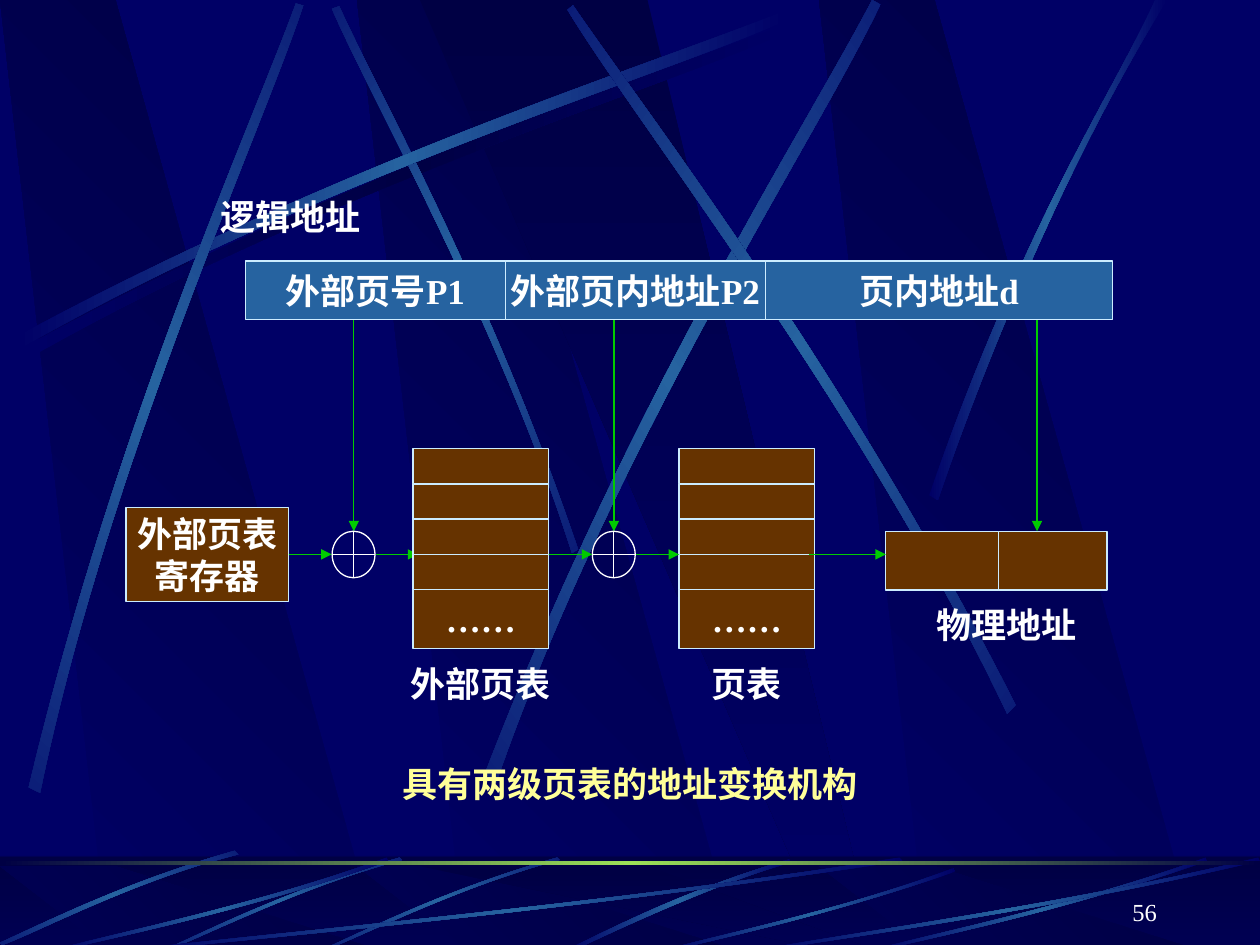
import math
import lxml.etree
import pptx
import pptx.util
import pptx.dml.color
import pptx.enum.shapes
import pptx.enum.text
import pptx.oxml.ns

Pt = pptx.util.Pt
MSO = pptx.enum.shapes.MSO_SHAPE
ALIGN = pptx.enum.text.PP_ALIGN
ANCHOR = pptx.enum.text.MSO_ANCHOR
qn = pptx.oxml.ns.qn

FONT = "Times New Roman"
COLORS = {
    "night": "000066", "shade": "000044", "streak": "2663A0", "glow": "9CE157",
    "field": "2663A0", "memory": "663300", "edge": "CCECFF", "arrow": "00CC00",
    "text": "FFFFFF", "caption": "FFFF99",
}

BEAM = [(10.1, 192.2), (200.2, 90), (373, 36.7), (446.4, 7.2),
        (448.6, 11.5), (375.8, 43.9), (178.6, 103), (12.2, 199.4)]
BEAMS = [
    ([(331.2, 313.9), (281.5, 168.5), (217.4, 55.4), (193.7, 3.6),
      (190.1, 5), (212.4, 56.9), (286.6, 185.8), (326.9, 316.1)], 45),
    (BEAM, 0),
    ([(16.6, 450), (67, 240.5), (141.8, 75.6), (169.2, 1.4),
      (173.5, 2.9), (149, 77.8), (61.9, 265), (23, 452.9)], 311.7),
    ([(277.2, 442.1), (358.6, 230.4), (459.4, 73.4), (498.2, 0),
      (502.6, 2.9), (467.3, 77.8), (349.9, 255.6), (283.7, 447.1)], 321.6),
    ([(580.3, 403.2), (482.4, 211), (371.5, 68.4), (327.6, 2.9),
      (324, 5), (365, 72.7), (493.2, 234), (575.3, 407.5)], 34.8),
    ([(531.4, 283), (586.1, 124.6), (639.4, 47.5), (660.2, 0),
      (667.4, 0), (601.9, 104.4), (553.7, 231.8), (535.7, 285.8)], 0),
]
ARC = [(451.4, 491), (386.6, 510.5), (343.4, 534.2), (322.6, 542.9),
       (326.2, 543.6), (352.8, 530.6), (411.1, 504), (452.2, 493.2)]
BLADE = [(318.2, 489.6), (255.6, 507.6), (206.6, 532.8), (184.3, 542.2),
         (185, 543.6), (207.4, 535), (262.8, 506.2), (319.7, 491.8)]
SWEEP_PERCENT = [(100, 4.07), (56.57, 57.4), (17.18, 85.4), (0.5, 100),
                 (0, 98.7), (16.53, 81.3), (61.62, 50.7), (99.53, 0)]
SWEEP_BOXES = [(72, 489.6, 444, 54), (30, 489.6, 192, 54), (379.4, 496, 166.4, 47.5),
               (498, 489.6, 192, 54), (432, 489.6, 288, 54)]


def rgb(name):
    return pptx.dml.color.RGBColor.from_string(COLORS[name])


def gradient(sp, names, angle):
    sp.fill.gradient()
    grad = sp._element.spPr.find(qn("a:gradFill"))
    stops = grad.find(qn("a:gsLst"))
    for gs in list(stops):
        stops.remove(gs)
    for i, name in enumerate(names):
        gs = lxml.etree.SubElement(stops, qn("a:gs"), pos=str(100000 * i // (len(names) - 1)))
        lxml.etree.SubElement(gs, qn("a:srgbClr"), val=COLORS[name])
    grad.find(qn("a:lin")).set("ang", str(angle * 60000))


def plain(sp):
    sp.shadow.inherit = False
    sp.line.fill.background()
    return sp


def polygon(slide, points):
    fb = slide.shapes.build_freeform(*points[0], scale=12700)
    fb.add_line_segments(points[1:], close=True)
    return plain(fb.convert_to_shape())


def turn(points, degrees):
    c, s = math.cos(math.radians(degrees)), math.sin(math.radians(degrees))
    return [(x * c - y * s, x * s + y * c) for x, y in points]


def shift(points, dx, dy):
    return [(x + dx, y + dy) for x, y in points]


def bend(sp):
    lines = list(sp._element.spPr.iter(qn("a:lnTo")))
    for side in (lines[:3], lines[4:7]):
        cubic = lxml.etree.Element(qn("a:cubicBezTo"))
        side[0].addprevious(cubic)
        for line in side:
            cubic.append(line[0])
            line.getparent().remove(line)


def streak(slide, ctrl, rotation=0, middle="streak"):
    points = turn(ctrl, -rotation)
    xs, ys = zip(*points)
    mx, my = (min(xs) + max(xs)) / 2, (min(ys) + max(ys)) / 2
    cx, cy = turn([(mx, my)], rotation)[0]
    sp = polygon(slide, shift(points, cx - mx, cy - my))
    bend(sp)
    sp.rotation = rotation
    gradient(sp, ("night", middle, "night"), 0)


def panels(slide, top, height):
    for left in (204, 0, 468):
        corners = [(62, height), (217.4, height), (65.5, 0), (0, 0)]
        gradient(polygon(slide, shift(corners, left, top)), ("night", "shade"), 315)
    corners = [(0, 0), (234, height), (260, height), (130, 0)]
    gradient(polygon(slide, shift(corners, 240, top)), ("shade", "night"), 90)


def band(slide, top, height):
    return plain(slide.shapes.add_shape(MSO.RECTANGLE, 0, Pt(top), Pt(720), Pt(height)))


def backdrop(slide):
    panels(slide, 0, 541)
    streak(slide, shift(BEAM, 4.3, 5.8), middle="shade")
    for ctrl, rotation in BEAMS:
        streak(slide, ctrl, rotation)


def floor(slide):
    gradient(band(slide, 489.6, 54), ("shade", "night"), 90)
    panels(slide, 495.4, 48)
    veil = band(slide, 489, 54)
    veil.fill.solid()
    veil.fill.fore_color.rgb = rgb("shade")
    color = veil._element.spPr.find(qn("a:solidFill"))[0]
    lxml.etree.SubElement(color, qn("a:alpha"), val="50000")
    streak(slide, ARC)
    for dx, dy in ((0, 0), (-90, 0), (-184, -3.6)):
        streak(slide, shift(BLADE, dx, dy), 314.9)
    for x, y, w, h in SWEEP_BOXES:
        streak(slide, [(x + u * w / 100, y + v * h / 100) for u, v in SWEEP_PERCENT])
    gradient(band(slide, 492.3, 1.8), ("shade", "glow", "shade"), 0)


def move_to_master(slide, master):
    master.background.fill.solid()
    master.background.fill.fore_color.rgb = rgb("night")
    tree = master.shapes._spTree
    for i, sp in enumerate(list(slide.shapes)):
        sp._element.nvSpPr.cNvPr.set("id", str(100 + i))
        tree.insert(2 + i, sp._element)


def write(sp, lines, color="text", size=20, bold=True, align=ALIGN.CENTER,
          anchor=ANCHOR.MIDDLE, wrap=False):
    tf = sp.text_frame
    tf.word_wrap = wrap
    tf.vertical_anchor = anchor
    for i, line in enumerate(lines):
        p = tf.add_paragraph() if i else tf.paragraphs[0]
        p.alignment = align
        r = p.add_run()
        r.text = line
        r.font.name, r.font.size, r.font.bold = FONT, Pt(size), bold
        r.font.color.rgb = rgb(color)


def label(slide, x, y, w, text, h=31.5, **style):
    sp = slide.shapes.add_textbox(Pt(x), Pt(y), Pt(w), Pt(h))
    write(sp, [text], **{"anchor": ANCHOR.TOP, **style})
    if not sp.text_frame.word_wrap:
        sp.text_frame.auto_size = pptx.enum.text.MSO_AUTO_SIZE.SHAPE_TO_FIT_TEXT


def cell(slide, x, y, w, h, fill, *lines):
    sp = slide.shapes.add_shape(MSO.RECTANGLE, Pt(x), Pt(y), Pt(w), Pt(h))
    sp.shadow.inherit = False
    sp.fill.solid()
    sp.fill.fore_color.rgb = rgb(fill)
    sp.line.color.rgb = rgb("edge")
    sp.line.width = Pt(0.75)
    if lines:
        write(sp, lines)


def arrow(slide, x1, y1, x2, y2):
    cx = slide.shapes.add_connector(pptx.enum.shapes.MSO_CONNECTOR.STRAIGHT,
                                    Pt(x1), Pt(y1), Pt(x2), Pt(y2))
    cx.line.color.rgb = rgb("arrow")
    cx.line.width = Pt(0.75)
    lxml.etree.SubElement(cx.line._get_or_add_ln(), qn("a:tailEnd"), type="triangle")
    lxml.etree.SubElement(cx._element.spPr, qn("a:effectLst"))


def adder(slide, x, y):
    sp = slide.shapes.add_shape(MSO.FLOWCHART_OR, Pt(x), Pt(y), Pt(24.5), Pt(26.6))
    sp.shadow.inherit = False
    sp.fill.background()
    sp.line.color.rgb = rgb("text")
    sp.line.width = Pt(0.75)


def logical_address(slide, x, y, h):
    label(slide, x - 21.4, y - 41, 94.3, "逻辑地址")
    for text, w in (("外部页号P1", 148.6), ("外部页内地址P2", 148.6), ("页内地址d", 198.3)):
        cell(slide, x, y, w, h, "field", text)
        x += w


def page_table(slide, x, y, w, name, name_w):
    row = 20.1
    for i in range(4):
        cell(slide, x, y + i * row, w, row, "memory")
    cell(slide, x, y + 4 * row, w, 33.7, "memory", "……")
    label(slide, x + (w - name_w) / 2, y + 118.8, name_w, name)


def physical_address(slide, x, y, h):
    cell(slide, x + 62, y, 64.6, h, "memory")
    cell(slide, x, y, 64.6, h, "memory")
    label(slide, x + 21.8, y + 37.6, 94.3, "物理地址")


def translation(slide):
    flow, entry, bar = 316.8, 303.6, 182.9
    logical_address(slide, 140.2, 149.2, 33.6)
    cell(slide, 72, 290, 92.9, 53.8, "memory", "外部页表", "寄存器")
    arrow(slide, 214.6, flow, 239, flow)
    page_table(slide, 236, 256.4, 77.6, "外部页表", 94.3)
    page_table(slide, 388, 256.4, 77.6, "页表", 54.3)
    physical_address(slide, 506, entry, 33.6)
    for x in (202.2, 350.8, 592.6):
        arrow(slide, x, bar, x, entry)
    for x in (189.8, 338.5):
        adder(slide, x, entry)
    for x1, x2 in ((164.9, 189.5), (313.9, 338.4), (363.6, 388), (462.2, 506.2)):
        arrow(slide, x1, flow, x2, flow)


def main():
    prs = pptx.Presentation()
    prs.slide_width, prs.slide_height = Pt(720), Pt(540)
    slide = prs.slides.add_slide(prs.slide_layouts[6])
    backdrop(slide)
    floor(slide)
    move_to_master(slide, prs.slide_master)
    translation(slide)
    label(slide, 222.8, 432, 275, "具有两级页表的地址变换机构", color="caption", align=ALIGN.LEFT)
    label(slide, 518.2, 496.8, 150, "56", h=36, size=14, bold=False,
          align=ALIGN.RIGHT, anchor=ANCHOR.BOTTOM, wrap=True)
    prs.save("out.pptx")


if __name__ == "__main__":
    main()
